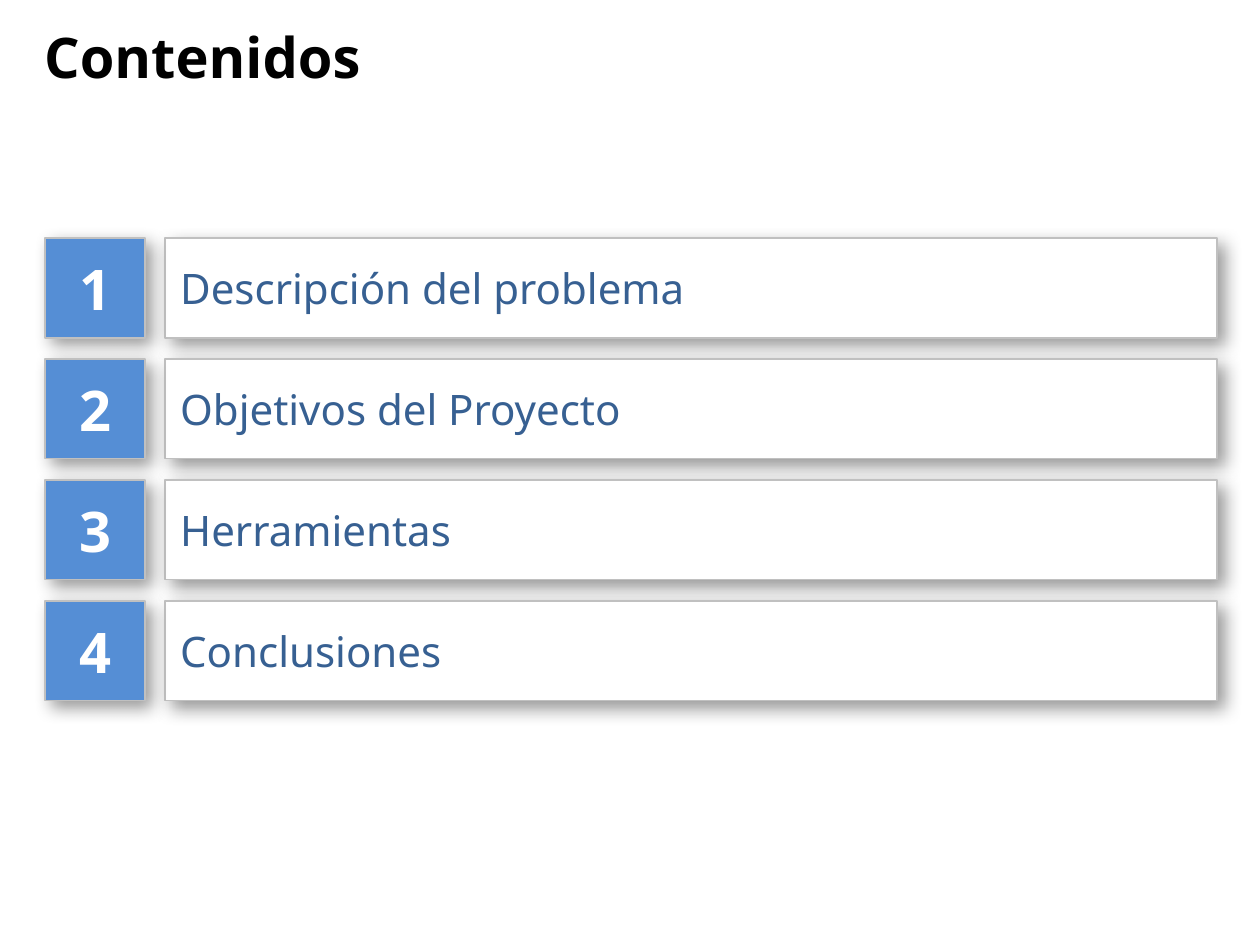
"""Build the contents slide with its numbered sections."""
from lxml import etree
from pptx import Presentation
from pptx import util as u
from pptx.dml.color import RGBColor
from pptx.enum import shapes, text
from pptx.oxml.ns import qn

FONT = "Noto Sans"
BLACK = RGBColor(0x00, 0x00, 0x00)
WHITE = RGBColor(0xFF, 0xFF, 0xFF)
BLUE = RGBColor(0x55, 0x8E, 0xD5)
NAVY = RGBColor(0x37, 0x60, 0x92)
GREY = RGBColor(0xC0, 0xC0, 0xC0)

SECTIONS = ["Descripción del problema", "Objetivos del Proyecto",
            "Herramientas", "Conclusiones"]
TOP, PITCH, SIDE = 136.08, 69.12, 56.88
NUMBER_LEFT, BAR_LEFT, BAR_WIDTH = 25.92, 94.32, 601.2


def write(sp, content, size, color, bold=False, align=text.PP_ALIGN.LEFT,
          margins=(8.64, 5.76), indent=0):
    """Put one formatted paragraph into a shape."""
    tf = sp.text_frame
    tf.word_wrap = True
    tf.auto_size = text.MSO_AUTO_SIZE.NONE
    tf.vertical_anchor = text.MSO_ANCHOR.MIDDLE
    tf.margin_left = tf.margin_right = u.Pt(margins[0])
    tf.margin_top = tf.margin_bottom = u.Pt(margins[1])
    p = tf.paragraphs[0]
    p.alignment = align
    if indent:
        p._p.get_or_add_pPr().set("marL", str(u.Pt(indent)))
    r = p.add_run()
    r.text = content
    r.font.name = FONT
    r.font.size = u.Pt(size)
    r.font.bold = bold
    r.font.color.rgb = color


def add_shadow(sp, blur=10, distance=5, angle=45, opacity=40):
    """Give a shape a soft black outer shadow."""
    sp.shadow.inherit = False
    effects = sp._element.spPr.find(qn("a:effectLst"))
    shadow = etree.SubElement(
        effects, qn("a:outerShdw"), blurRad=str(u.Pt(blur)),
        dist=str(u.Pt(distance)), dir=str(angle * 60000),
        algn="tl", rotWithShape="0")
    color = etree.SubElement(shadow, qn("a:srgbClr"), val=str(BLACK))
    etree.SubElement(color, qn("a:alpha"), val=str(opacity * 1000))


def add_box(s, left, top, width, fill):
    """Add a shadowed rectangle with a grey outline."""
    sp = s.shapes.add_shape(shapes.MSO_SHAPE.RECTANGLE, u.Pt(left), u.Pt(top),
                            u.Pt(width), u.Pt(SIDE))
    sp.fill.solid()
    sp.fill.fore_color.rgb = fill
    sp.line.color.rgb = GREY
    sp.line.width = u.Pt(1)
    add_shadow(sp)
    return sp


def add_title(s, content):
    """Place and format the title placeholder."""
    sp = s.shapes.title
    sp.left, sp.top = u.Pt(11.52), u.Pt(6.48)
    sp.width, sp.height = u.Pt(648), u.Pt(51.12)
    write(sp, content, 32, BLACK, bold=True, margins=(0, 0), indent=13.68)


def main():
    """Create and save the slide."""
    prs = Presentation()
    prs.slide_width, prs.slide_height = u.Pt(720), u.Pt(540)
    s = prs.slides.add_slide(prs.slide_layouts[5])
    add_title(s, "Contenidos")
    for i, section in enumerate(SECTIONS):
        top = TOP + i * PITCH
        bar = add_box(s, BAR_LEFT, top, BAR_WIDTH, WHITE)
        write(bar, section, 24, NAVY)
        number = add_box(s, NUMBER_LEFT, top, SIDE, BLUE)
        write(number, str(i + 1), 32, WHITE, bold=True,
              align=text.PP_ALIGN.CENTER)
    prs.save("out.pptx")


main()
